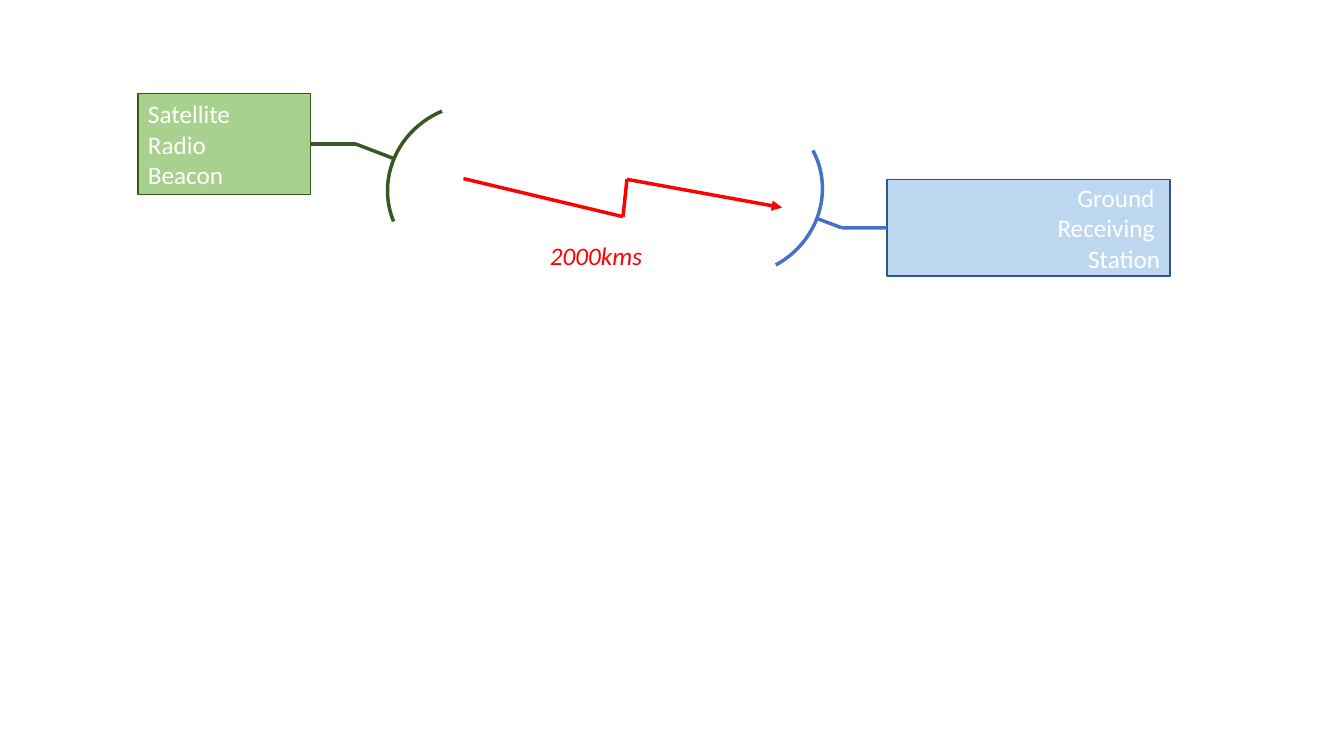
from itertools import pairwise

from lxml.etree import SubElement
from pptx import Presentation
from pptx.dml.color import RGBColor
from pptx.enum.shapes import MSO_CONNECTOR as Connector, MSO_SHAPE as Shape
from pptx.enum.text import MSO_ANCHOR as Anchor, PP_ALIGN as Align
from pptx.oxml.ns import qn
from pptx.util import Cm, Pt

WHITE = RGBColor(0xFF, 0xFF, 0xFF)
LIGHT_GREEN = RGBColor(0xA9, 0xD1, 0x8E)
DARK_GREEN = RGBColor(0x38, 0x57, 0x23)
LIGHT_BLUE = RGBColor(0xBD, 0xD7, 0xEE)
BLUE = RGBColor(0x44, 0x72, 0xC4)
DARK_BLUE = RGBColor(0x32, 0x54, 0x91)
RED = RGBColor(0xFF, 0x00, 0x00)

LEFT_SIDE, RIGHT_SIDE = 1, 3


class LinkDiagram:
    """Holds the style and the current slide."""

    text_format = {"name": "Calibri", "size": Pt(18), "bold": False}
    thin, thick = Pt(1), Pt(2.5)

    def __init__(self, page):
        self.shapes = page.shapes

    def stroke(self, shape, color, width):
        shape.line.color.rgb = color
        shape.line.width = width

    def set_text(self, frame, lines, color, align=Align.LEFT, italic=False):
        frame.word_wrap = True
        frame.text = "\n".join(lines)
        for para in frame.paragraphs:
            para.alignment = align
            for span in para.runs:
                values = {**self.text_format, "italic": italic}
                for name, value in values.items():
                    setattr(span.font, name, value)
                span.font.color.rgb = color

    def station(self, place, lines, fill, border, align):
        box = self.shapes.add_shape(Shape.RECTANGLE, *map(Cm, place))
        box.shadow.inherit = False
        box.fill.solid()
        box.fill.fore_color.rgb = fill
        self.stroke(box, border, self.thin)
        box.text_frame.vertical_anchor = Anchor.MIDDLE
        self.set_text(box.text_frame, lines, WHITE, align)
        return box

    def dish(self, left, top, rotation, color):
        arc = self.shapes.add_shape(Shape.ARC, Cm(left), Cm(top), Cm(4.39), Cm(4.19))
        arc.shadow.inherit = False
        arc.fill.background()
        self.stroke(arc, color, self.thick)
        arc.rotation = rotation
        arc.element.spPr.find(qn("a:xfrm")).set("flipV", "1")

    def polyline(self, points, color, arrow=False):
        """Draws straight segments through the points and returns them."""
        segments = []
        for start, end in pairwise(points):
            segment = self.shapes.add_connector(
                Connector.STRAIGHT, *map(Cm, (*start, *end)))
            self.stroke(segment, color, self.thick)
            SubElement(segment.element.spPr, qn("a:effectLst"))
            segments.append(segment)
        if arrow:
            outline = segments[-1].element.spPr.find(qn("a:ln"))
            SubElement(outline, qn("a:tailEnd"), type="triangle")
        return segments

    def caption(self, place, text, color):
        box = self.shapes.add_textbox(*map(Cm, place))
        self.set_text(box.text_frame, [text], color, italic=True)


def main():
    deck = Presentation()
    deck.slide_width, deck.slide_height = Cm(33.87), Cm(19.05)
    diagram = LinkDiagram(deck.slides.add_slide(deck.slide_layouts[6]))

    # Satellite with its dish
    beacon = diagram.station((3.48, 2.36, 4.34, 2.54), ["Satellite", "Radio", "Beacon"],
                             LIGHT_GREEN, DARK_GREEN, Align.LEFT)
    diagram.dish(9.75, 2.64, 157.4, DARK_GREEN)
    feed = diagram.polyline([(7.82, 3.63), (8.97, 3.63), (9.91, 3.99)], DARK_GREEN)
    feed[0].begin_connect(beacon, RIGHT_SIDE)

    # Radio signal
    diagram.polyline([(11.68, 4.5), (15.7, 5.46), (15.8, 4.52), (19.71, 5.23)],
                     RED, arrow=True)
    diagram.caption((13.61, 5.94, 4.22, 1.02), "2000kms", RED)

    # Ground station with its dish
    ground = diagram.station((22.35, 4.52, 7.14, 2.44),
                             ["Ground ", "Receiving ", "Station"],
                             LIGHT_BLUE, DARK_BLUE, Align.RIGHT)
    diagram.dish(16.36, 2.74, 331.6, BLUE)
    feed = diagram.polyline([(22.35, 5.74), (21.21, 5.74), (20.6, 5.51)], BLUE)
    feed[0].begin_connect(ground, LEFT_SIDE)

    deck.save("out.pptx")


if __name__ == "__main__":
    main()
